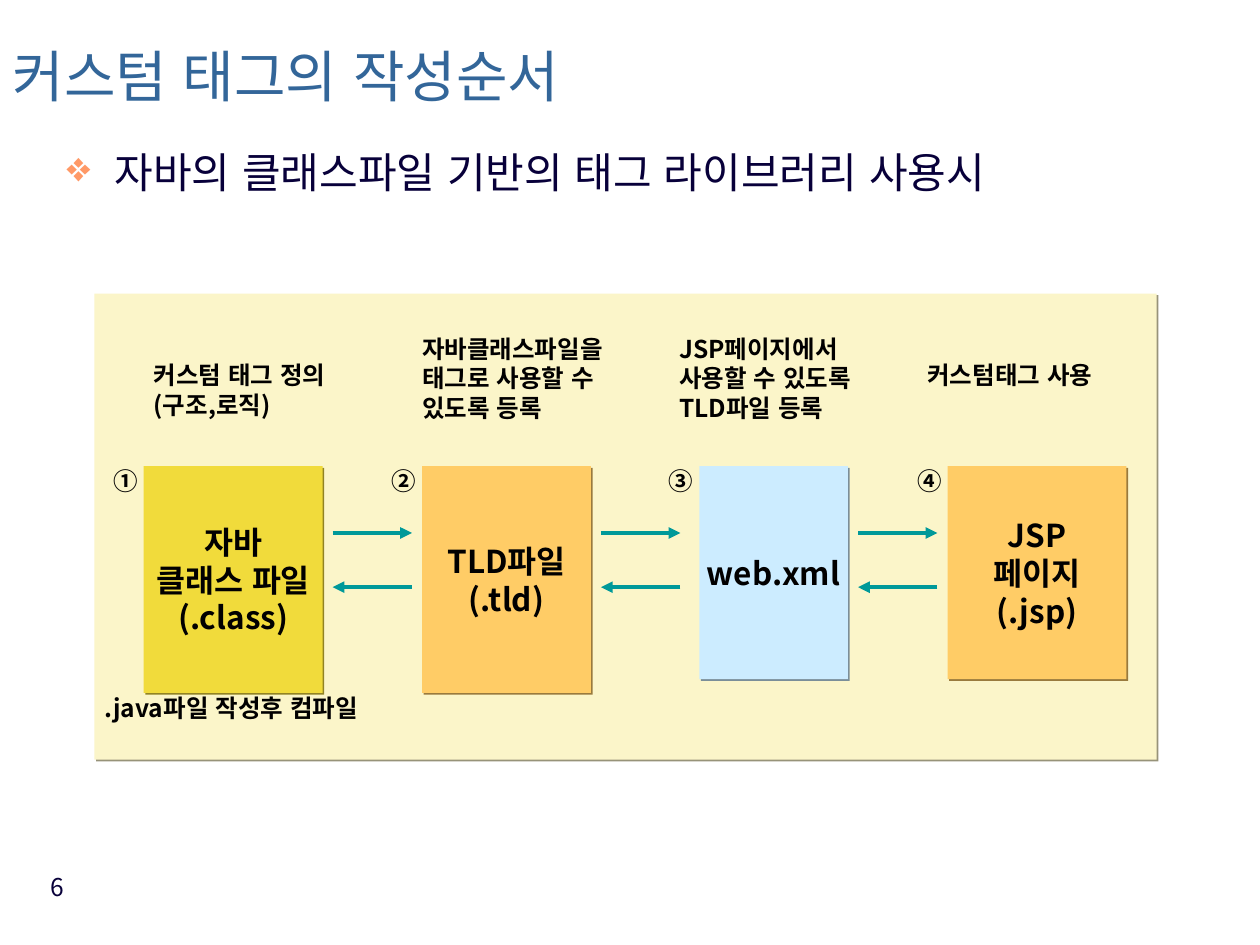
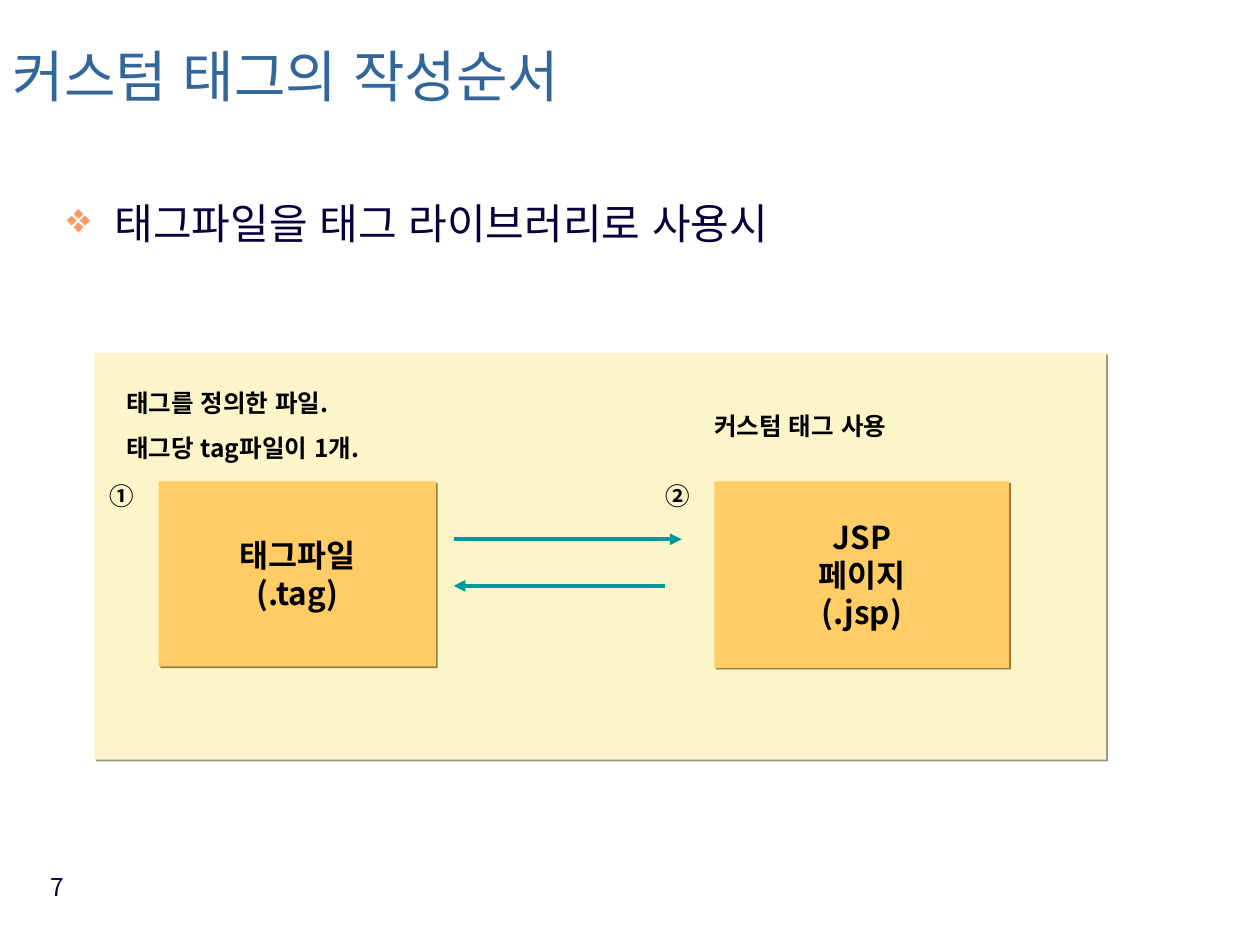
from dataclasses import dataclass

import lxml.etree
import pptx
import pptx.dml.color
import pptx.enum.lang
import pptx.enum.shapes
import pptx.enum.text
import pptx.oxml.ns
import pptx.util

RGBColor = pptx.dml.color.RGBColor
Align = pptx.enum.text.PP_ALIGN
Anchor = pptx.enum.text.MSO_ANCHOR
AutoSize = pptx.enum.text.MSO_AUTO_SIZE
Pt = pptx.util.Pt
qn = pptx.oxml.ns.qn

WIDTH = pptx.util.Inches(10)
HEIGHT = pptx.util.Inches(7.5)
COLUMNS, ROWS = 100, 75
TITLE_ONLY = 5

FONT = "Noto Sans CJK KR"
TITLE_BLUE = RGBColor(0x33, 0x66, 0x99)
NAVY = RGBColor(0x08, 0x00, 0x3A)
INK = RGBColor(0x01, 0x00, 0x00)
CREAM = RGBColor(0xFB, 0xF5, 0xC9)
YELLOW = RGBColor(0xF1, 0xDB, 0x3B)
ORANGE = RGBColor(0xFF, 0xCC, 0x66)
SKY = RGBColor(0xCC, 0xEC, 0xFF)
TEAL = RGBColor(0x00, 0x99, 0x99)
CORAL = RGBColor(0xFF, 0x99, 0x66)
SHADOWS = {
    CREAM: RGBColor(0x97, 0x93, 0x79),
    YELLOW: RGBColor(0x91, 0x83, 0x23),
    ORANGE: RGBColor(0x99, 0x7A, 0x3D),
    SKY: RGBColor(0x7A, 0x8E, 0x99),
}
PADDED = (0.1, 0.05, 0.1, 0.05)
FLUSH = (0, 0, 0, 0)


@dataclass(frozen=True)
class Area:
    column: float
    row: float
    columns: float
    rows: float

    @property
    def right(self) -> float:
        return self.column + self.columns

    def lengths(self) -> tuple[int, int, int, int]:
        return across(self.column), down(self.row), across(self.columns), down(self.rows)


@dataclass(frozen=True)
class Style:
    size: float
    color: RGBColor
    bold: bool = False
    alignment: Align = Align.LEFT
    before: float = 0
    spacing: float = 1
    anchor: Anchor = Anchor.TOP
    margins: tuple = PADDED
    wrap: bool = True
    fit: AutoSize = AutoSize.NONE


@dataclass(frozen=True)
class Stage:
    number: str
    file: str
    area: Area
    fill: RGBColor
    purpose: str
    purpose_area: Area


@dataclass(frozen=True)
class Arrow:
    start: float
    end: float
    row: float


@dataclass(frozen=True)
class Procedure:
    page: str
    topic: str
    topic_row: float
    panel: Area
    number_columns: float
    stages: list[Stage]
    arrows: list[Arrow]
    remark: str = ""


TITLE = Style(32, TITLE_BLUE, spacing=0.7, anchor=Anchor.MIDDLE)
TOPIC = Style(24, NAVY, before=7)
PAGE = Style(14, NAVY, alignment=Align.RIGHT)
FILE = Style(18, INK, True, Align.CENTER, anchor=Anchor.MIDDLE, wrap=False)
NOTE = Style(14, INK, True, before=8.8, margins=FLUSH, fit=AutoSize.SHAPE_TO_FIT_TEXT)

HEADING = "커스텀 태그의 작성순서"
HEADING_AREA = Area(0, 2.1, 64.2, 9)
PAGE_AREA = Area(1.4, 68.7, 4.7, 5.2)
REMARK_AREA = Area(8.3, 55, 22, 2.3)
NUMBER_ROWS = 2.3

CLASS_STAGES = [
    Stage("①", "자바\n클래스 파일\n(.class)", Area(11.4, 37, 14.2, 18), YELLOW,
          "커스텀 태그 정의(구조,로직)", Area(12.2, 28.6, 15, 4.7)),
    Stage("②", "TLD파일\n(.tld)", Area(33.5, 37, 13.4, 18), ORANGE,
          "자바클래스파일을 태그로 사용할 수 있도록 등록", Area(33.5, 26.5, 15.7, 7)),
    Stage("③", "web.xml", Area(55.5, 37, 11.8, 16.9), SKY,
          "JSP페이지에서 사용할 수 있도록 TLD파일 등록", Area(53.9, 26.5, 15.7, 7)),
    Stage("④", "JSP\n페이지\n(.jsp)", Area(75.2, 37, 14.2, 16.9), ORANGE,
          "커스텀태그 사용", Area(73.6, 28.6, 15.7, 2.3)),
]
TAG_STAGES = [
    Stage("①", "태그파일\n(.tag)", Area(12.6, 38.2, 22, 14.7), ORANGE,
          "태그를 정의한 파일.\n태그당 tag파일이 1개.", Area(10, 30.8, 41.5, 5.9)),
    Stage("②", "JSP\n페이지\n(.jsp)", Area(56.7, 38.2, 23.4, 14.8), ORANGE,
          "커스텀 태그 사용", Area(56.7, 32.6, 25.9, 2.3)),
]


def class_arrows() -> list[Arrow]:
    gap, length = 0.8, 6.3
    arrows = []
    for stage in CLASS_STAGES[:-1]:
        near = stage.area.right + gap
        far = near + length
        arrows += [Arrow(near, far, 42.3), Arrow(far, near, 46.6)]
    return arrows


PROCEDURES = [
    Procedure("6", "자바의 클래스파일 기반의 태그 라이브러리 사용시", 11.1,
              Area(7.5, 23.3, 84.3, 37), 2.4, CLASS_STAGES, class_arrows(),
              ".java파일 작성후 컴파일"),
    Procedure("7", "태그파일을 태그 라이브러리로 사용시", 15.2,
              Area(7.5, 28, 80.3, 32.3), 3.9, TAG_STAGES,
              [Arrow(36, 54.1, 42.8), Arrow(52.8, 36, 46.5)]),
]


def across(columns: float) -> int:
    return round(WIDTH * columns / COLUMNS)


def down(rows: float) -> int:
    return round(HEIGHT * rows / ROWS)


def apply(target, values: dict) -> None:
    for attribute, value in values.items():
        setattr(target, attribute, value)


def write(shape, text: str, style: Style) -> None:
    frame = shape.text_frame
    frame.text = text
    left, top, right, bottom = map(pptx.util.Inches, style.margins)
    apply(frame, {
        "margin_left": left, "margin_top": top,
        "margin_right": right, "margin_bottom": bottom,
        "vertical_anchor": style.anchor, "word_wrap": style.wrap, "auto_size": style.fit,
    })
    for paragraph in frame.paragraphs:
        apply(paragraph, {
            "alignment": style.alignment,
            "space_before": Pt(style.before),
            "line_spacing": style.spacing,
        })
        for run in paragraph.runs:
            apply(run.font, {
                "size": Pt(style.size), "name": FONT, "bold": style.bold,
                "language_id": pptx.enum.lang.MSO_LANGUAGE_ID.KOREAN,
            })
            run.font.color.rgb = style.color
    for latin in shape.element.iter(qn("a:latin")):
        east_asian = lxml.etree.Element(qn("a:ea"), typeface=FONT)
        latin.addnext(east_asian)


def add_text(slide, text: str, area: Area, style: Style):
    box = slide.shapes.add_textbox(*area.lengths())
    write(box, text, style)
    return box


def add_card(slide, area: Area, fill: RGBColor):
    card = slide.shapes.add_shape(
        pptx.enum.shapes.MSO_SHAPE.RECTANGLE, *area.lengths())
    card.fill.solid()
    card.fill.fore_color.rgb = fill
    card.line.fill.background()
    card.shadow.inherit = False
    effects = card.element.spPr.find(qn("a:effectLst"))
    shadow = lxml.etree.SubElement(
        effects, qn("a:outerShdw"), dist=str(Pt(1.4)), dir=str(45 * 60000))
    lxml.etree.SubElement(shadow, qn("a:srgbClr"), val=str(SHADOWS[fill]))
    return card


def add_arrow(slide, arrow: Arrow) -> None:
    connector = slide.shapes.add_connector(
        pptx.enum.shapes.MSO_CONNECTOR.STRAIGHT,
        across(arrow.start), down(arrow.row), across(arrow.end), down(arrow.row))
    connector.line.color.rgb = TEAL
    connector.line.width = Pt(2.25)
    properties = connector.element.spPr
    lxml.etree.SubElement(properties.find(qn("a:ln")), qn("a:tailEnd"), type="triangle")
    lxml.etree.SubElement(properties, qn("a:effectLst"))


def add_stage(slide, stage: Stage, number_columns: float) -> None:
    write(add_card(slide, stage.area, stage.fill), stage.file, FILE)
    add_text(slide, stage.purpose, stage.purpose_area, NOTE)
    number_area = Area(stage.area.column - number_columns, stage.area.row,
                       number_columns, NUMBER_ROWS)
    add_text(slide, stage.number, number_area, NOTE)


def add_topic(slide, text: str, row: float) -> None:
    topic = add_text(slide, text, Area(4.3, row, 93.2, 8.6), TOPIC)
    properties = next(topic.element.iter(qn("a:pPr")))
    indent = across(3.8)
    properties.set("marL", str(indent))
    properties.set("indent", str(-indent))
    color = lxml.etree.SubElement(properties, qn("a:buClr"))
    lxml.etree.SubElement(color, qn("a:srgbClr"), val=str(CORAL))
    lxml.etree.SubElement(properties, qn("a:buChar"), char="❖")


def add_procedure(deck, procedure: Procedure) -> None:
    slide = deck.slides.add_slide(deck.slide_layouts[TITLE_ONLY])
    heading = slide.shapes.title
    apply(heading, dict(zip(("left", "top", "width", "height"), HEADING_AREA.lengths())))
    write(heading, HEADING, TITLE)
    add_topic(slide, procedure.topic, procedure.topic_row)
    add_card(slide, procedure.panel, CREAM)
    for stage in procedure.stages:
        add_stage(slide, stage, procedure.number_columns)
    for arrow in procedure.arrows:
        add_arrow(slide, arrow)
    if procedure.remark:
        add_text(slide, procedure.remark, REMARK_AREA, NOTE)
    add_text(slide, procedure.page, PAGE_AREA, PAGE)


def main() -> None:
    deck = pptx.Presentation()
    apply(deck, {"slide_width": WIDTH, "slide_height": HEIGHT})
    for procedure in PROCEDURES:
        add_procedure(deck, procedure)
    deck.save("out.pptx")


if __name__ == "__main__":
    main()
